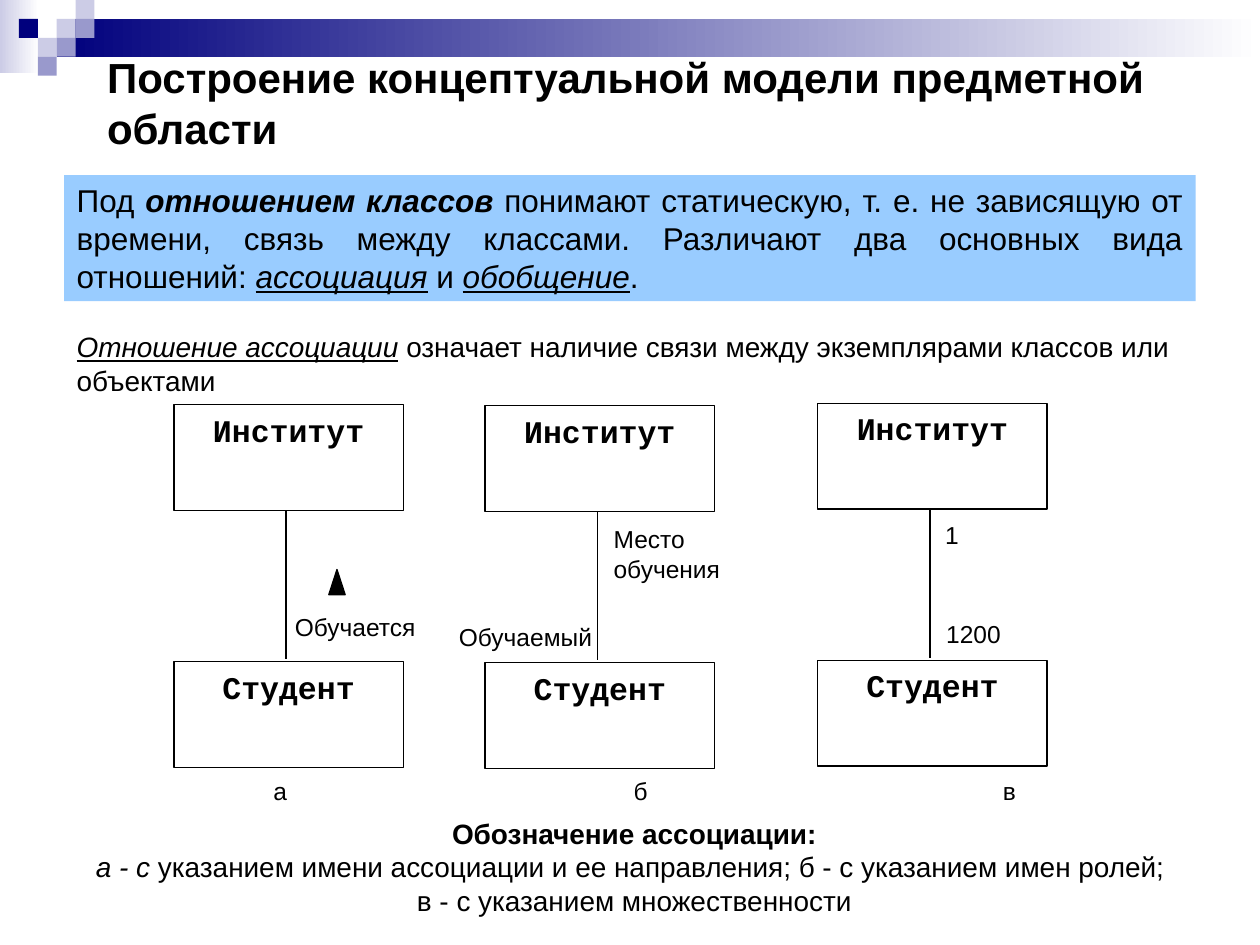
"""Build a slide about association relations between classes."""
import pptx
import pptx.dml.color
import pptx.enum.shapes
import pptx.enum.text
import pptx.oxml.ns
import pptx.util
from lxml import etree

Inches = pptx.util.Inches
Pt = pptx.util.Pt
color = pptx.dml.color.RGBColor.from_string
SHAPES = pptx.enum.shapes.MSO_SHAPE
ALIGN = pptx.enum.text.PP_ALIGN

presentation = pptx.Presentation()
presentation.slide_width = Inches(10)
presentation.slide_height = Inches(7.5)
slide = presentation.slides.add_slide(presentation.slide_layouts[5])


def add_box(left, top, width, height, fill=None, line=None, kind=SHAPES.RECTANGLE):
    shape = slide.shapes.add_shape(kind, Inches(left), Inches(top), Inches(width), Inches(height))
    shape.shadow.inherit = False
    if fill:
        shape.fill.solid()
        shape.fill.fore_color.rgb = color(fill)
    else:
        shape.fill.background()
    if line:
        shape.line.color.rgb = color(line)
        shape.line.width = Pt(0.74)
    else:
        shape.line.fill.background()
    return shape


def write(shape, paragraphs, size, align=ALIGN.LEFT, font="Arial", bold=False, margins=(0.1, 0.05)):
    frame = shape.text_frame
    frame.word_wrap = True
    frame.auto_size = pptx.enum.text.MSO_AUTO_SIZE.NONE
    frame.vertical_anchor = pptx.enum.text.MSO_ANCHOR.TOP
    frame.margin_left = frame.margin_right = Inches(margins[0])
    frame.margin_top = frame.margin_bottom = Inches(margins[1])
    for index, runs in enumerate(paragraphs):
        paragraph = frame.paragraphs[0] if index == 0 else frame.add_paragraph()
        paragraph.alignment = align
        paragraph.font.size = Pt(size)
        paragraph.font.name = font
        paragraph.font.bold = bold
        paragraph.font.color.rgb = color("000000")
        for text, style in runs:
            run = paragraph.add_run()
            run.text = text
            if "b" in style:
                run.font.bold = True
            if "i" in style:
                run.font.italic = True
            if "u" in style:
                run.font.underline = True


for left, top, width, height, end_color in [
    (0, 0, 0.31, 0.58, "CCCCE6"),
    (0.45, 0.15, 9.55, 0.3, "00007D"),
]:
    band = add_box(left, top, width, height)
    band.fill.gradient()
    band.fill.gradient_angle = 180
    for stop, stop_color in zip(band.fill.gradient_stops, ["FFFFFF", end_color]):
        stop.color.rgb = color(stop_color)

for column, row, fill in [
    (3, 1, "CCCCE6"), (4, 0, "CCCCE6"), (4, 1, "9999CC"), (2, 2, "CCCCE6"),
    (1, 1, "00007D"), (3, 2, "9999CC"), (2, 3, "9999CC"),
]:
    add_box(column * 0.15, row * 0.15, 0.15, 0.15, fill)

title = slide.shapes.title
title.left, title.top = Inches(0.75), Inches(0.36)
title.width, title.height = Inches(8.58), Inches(0.9)
write(title, [[("Построение концептуальной модели предметной области", "")]], 24, bold=True)

definition = add_box(0.51, 1.39, 8.98, 1, "99CCFF")
write(definition, [[
    ("Под ", ""),
    ("отношением классов", "bi"),
    (" понимают статическую, т. е. не зависящую от времени, связь между классами. "
     "Различают два основных вида отношений: ", ""),
    ("ассоциация", "iu"),
    (" и ", ""),
    ("обобщение", "iu"),
    (". ", ""),
]], 18, ALIGN.JUSTIFY)

for left, top in [(1.38, 3.21), (3.85, 3.22), (6.49, 3.2)]:
    for name, offset in [("Институт", 0), ("Студент", 2.04)]:
        class_box = add_box(left, top + offset, 1.82, 0.84, "FFFFFF", "000000")
        write(class_box, [[(name, "")]], 18, ALIGN.CENTER, "Courier New", True)
    middle = Inches(left + 0.89)
    association = slide.shapes.add_connector(
        pptx.enum.shapes.MSO_CONNECTOR.STRAIGHT,
        middle, Inches(top + 0.84), middle, Inches(top + 2.02))
    association.line.color.rgb = color("000000")
    association.line.width = Pt(0.74)
    etree.SubElement(association._element.spPr, pptx.oxml.ns.qn("a:effectLst"))

add_box(2.61, 4.52, 0.13, 0.2, "000000", "000000", SHAPES.ISOSCELES_TRIANGLE)

for left, top, width, height, lines, align in [
    (2.32, 4.86, 1.1, 0.29, ["Обучается"], ALIGN.LEFT),
    (4.85, 4.16, 1.1, 0.54, ["Место", "обучения"], ALIGN.LEFT),
    (3.62, 4.94, 1.1, 0.29, ["Обучаемый"], ALIGN.RIGHT),
    (7.48, 4.13, 0.38, 0.29, ["1"], ALIGN.LEFT),
    (7.49, 4.91, 0.53, 0.28, ["1200"], ALIGN.LEFT),
    (2.15, 6.16, 0.4, 0.3, ["а"], ALIGN.LEFT),
    (5.01, 6.16, 0.4, 0.3, ["б"], ALIGN.LEFT),
    (7.94, 6.16, 0.4, 0.3, ["в"], ALIGN.LEFT),
]:
    label = add_box(left, top, width, height, "FFFFFF")
    write(label, [[(line, "")] for line in lines], 14, align, margins=(0.02, 0))

caption = slide.shapes.add_textbox(Inches(0.27), Inches(6.43), Inches(9.53), Inches(0.9))
write(caption, [
    [("Обозначение ассоциации:", "b")],
    [("а - с ", "i"), ("указанием имени ассоциации и ее направления; б - с указанием имен ролей; ", "")],
    [("в - с указанием множественности", "")],
], 16, ALIGN.CENTER)

explanation = slide.shapes.add_textbox(Inches(0.51), Inches(2.57), Inches(8.98), Inches(0.64))
write(explanation, [[
    ("Отношение ассоциации", "iu"),
    (" ", "i"),
    ("означает наличие связи между экземплярами классов или объектами ", ""),
]], 16)

presentation.save("out.pptx")
